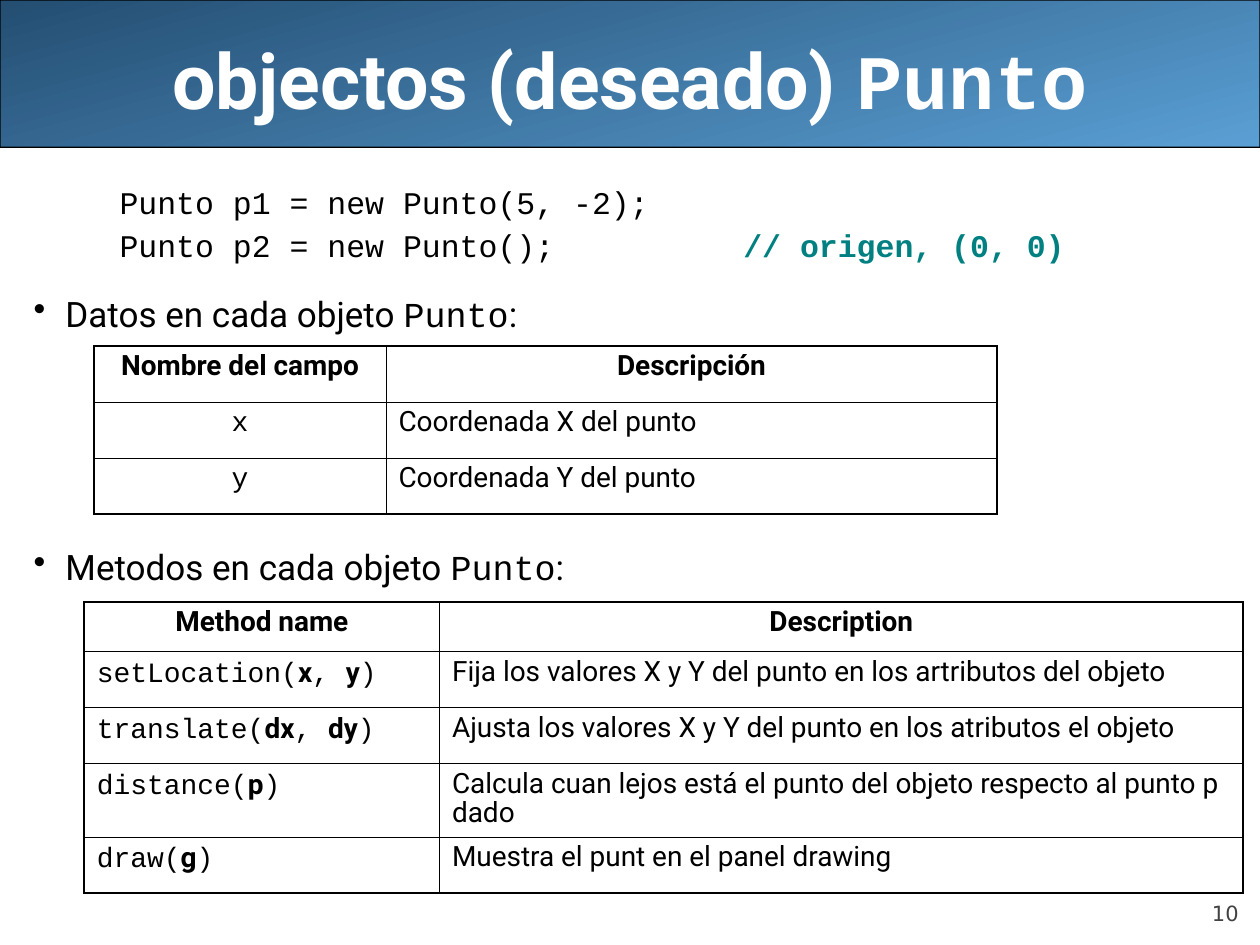
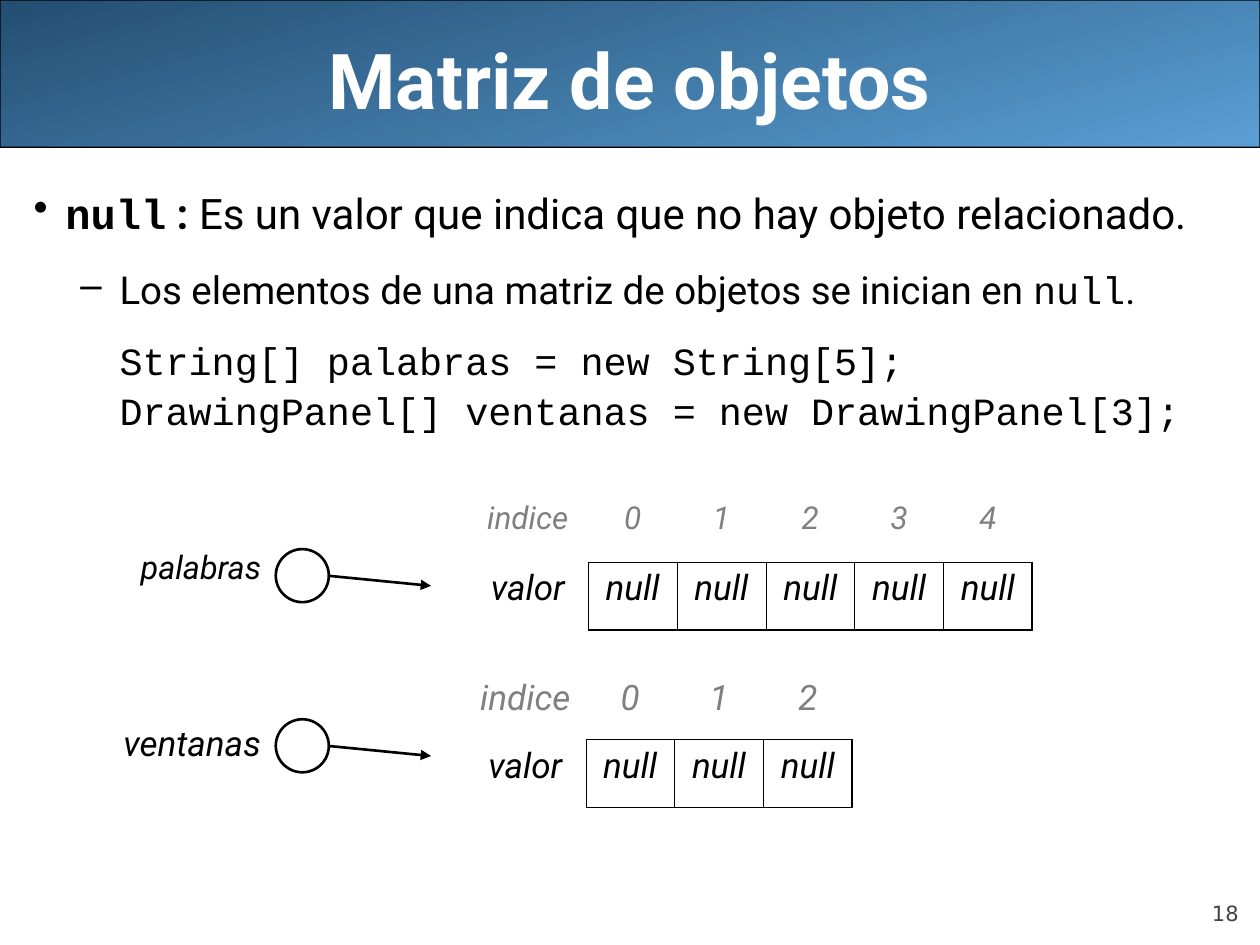
import pptx
import pptx.dml.color
import pptx.enum.shapes
import pptx.enum.text
import pptx.oxml
import pptx.oxml.ns
import pptx.util
from lxml import etree

Cm = pptx.util.Cm
Pt = pptx.util.Pt
Align = pptx.enum.text.PP_ALIGN
Anchor = pptx.enum.text.MSO_ANCHOR
Shape = pptx.enum.shapes.MSO_SHAPE
qn = pptx.oxml.ns.qn

COLORS = {
    "black": "000000",
    "white": "FFFFFF",
    "band_light": "5A9FD4",
    "band_dark": "244E72",
    "comment": "008080",
    "index": "808080",
    "page": "424242",
}
SANS, MONO, PAGE_FONT = "Roboto", "Courier New", "DejaVu Sans"
INNER, OUTER = 0.45, 1.08
BODY = (0.43, 3.66, 24.97, 14.4)


def rgb(name):
    return pptx.dml.color.RGBColor.from_string(COLORS[name])


def mono(text, bold=None):
    return text, MONO, bold, None


def sans(text, bold=None):
    return text, SANS, bold, None


def write(paragraph, content, size, font=SANS, color="black", bold=False, italic=False,
          align=Align.LEFT, line_spacing=None, before=None):
    """Fill a paragraph with a string, or with (text, font, bold, color) runs."""
    paragraph.alignment = align
    if line_spacing:
        paragraph.line_spacing = line_spacing
    if before:
        paragraph.space_before = Pt(before)
    base = paragraph.font
    base.name, base.size, base.bold, base.italic = font, Pt(size), bold, italic
    base.color.rgb = rgb(color)
    runs = [(content, None, None, None)] if isinstance(content, str) else content
    for text, run_font, run_bold, run_color in runs:
        run = paragraph.add_run()
        run.text = text
        if run_font:
            run.font.name = run_font
        if run_bold is not None:
            run.font.bold = run_bold
        if run_color:
            run.font.color.rgb = rgb(run_color)


def indent(paragraph, left, hanging=0, bullet=None):
    properties = paragraph._p.get_or_add_pPr()
    properties.set("marL", str(Cm(left)))
    properties.set("indent", str(-Cm(hanging)))
    if bullet:
        mark = etree.SubElement(properties, qn("a:buChar"))
        mark.set("char", bullet)
    else:
        etree.SubElement(properties, qn("a:buNone"))


def add_text_frame(slide, box, anchor=Anchor.TOP):
    frame = slide.shapes.add_textbox(*map(Cm, box)).text_frame
    frame.word_wrap = True
    frame.vertical_anchor = anchor
    return frame


def add_body(slide, box, lines):
    """Write lines of (content, indent arguments, text options) into the box."""
    frame = add_text_frame(slide, box)
    for number, (content, indents, options) in enumerate(lines):
        paragraph = frame.add_paragraph() if number else frame.paragraphs[0]
        indent(paragraph, *indents)
        write(paragraph, content, **options)


def add_framed_slide(presentation, title, page):
    """Add a slide with the title band and the page number."""
    slide = presentation.slides.add_slide(presentation.slide_layouts[6])
    band = slide.shapes.add_shape(Shape.ROUNDED_RECTANGLE, 0, 0, Cm(25.4), Cm(2.97))
    band.adjustments[0] = 0.001
    band.shadow.inherit = False
    band.fill.gradient()
    band.fill.gradient_angle = 105
    for stop, color in zip(band.fill.gradient_stops, ("band_light", "band_dark")):
        stop.color.rgb = rgb(color)
    band.line.color.rgb = rgb("black")
    band.line.width = Pt(0.75)

    heading = add_text_frame(slide, (1.27, 0, 22.86, 3.18), Anchor.MIDDLE)
    write(heading.paragraphs[0], title, 44, color="white", bold=True, align=Align.CENTER)

    footer = add_text_frame(slide, (22.86, 17.65, 2.11, 1.02), Anchor.BOTTOM)
    footer.margin_left = footer.margin_right = footer.margin_top = footer.margin_bottom = 0
    write(footer.paragraphs[0], page, 12, PAGE_FONT, "page", align=Align.RIGHT)
    return slide


def style_cell(cell, left, right, top, bottom):
    """Set border widths in points (0 for none) and clear the fill."""
    properties = cell._tc.get_or_add_tcPr()
    for side, width in zip("LRTB", (left, right, top, bottom)):
        line = etree.SubElement(properties, qn(f"a:ln{side}"))
        if width:
            line.set("w", str(Pt(width)))
            fill = etree.SubElement(line, qn("a:solidFill"))
            etree.SubElement(fill, qn("a:srgbClr")).set("val", COLORS["black"])
        else:
            etree.SubElement(line, qn("a:noFill"))
    cell.fill.background()


def add_plain_table(slide, left, top, columns, rows):
    frame = slide.shapes.add_table(len(rows), len(columns), Cm(left), Cm(top),
                                   Cm(sum(columns)), Cm(sum(rows)))
    table = frame.table
    table.first_row = table.horz_banding = False
    for column, width in zip(table.columns, columns):
        column.width = Cm(width)
    for row, height in zip(table.rows, rows):
        row.height = Cm(height)
    return table


def add_member_table(slide, left, top, columns, rows, cells, name_align):
    """Table of class members: a bold heading row, then code names and descriptions."""
    table = add_plain_table(slide, left, top, columns, rows)
    last_row, last_column = len(rows) - 1, len(columns) - 1
    for r, contents in enumerate(cells):
        for c, content in enumerate(contents):
            cell = table.cell(r, c)
            style_cell(cell,
                       INNER if c else OUTER,
                       OUTER if c == last_column else INNER,
                       INNER if r else OUTER,
                       OUTER if r == last_row else INNER)
            align = Align.CENTER if r == 0 else Align.LEFT if c else name_align
            write(cell.text_frame.paragraphs[0], content, 16,
                  font=MONO if r and c == 0 else SANS,
                  bold=r == 0, align=align, line_spacing=0.9)


def add_array(slide, left, top, length, index_size):
    """Array of null elements under its row of indices."""
    table = add_plain_table(slide, left, top, [2.44] + [1.79] * length, [1.37] * 2)
    for c in range(length + 1):
        index, value = table.cell(0, c), table.cell(1, c)
        style_cell(index, 0, 0, 0, INNER if c else 0)
        if c:
            style_cell(value, INNER, OUTER if c == length else INNER, INNER, OUTER)
        else:
            style_cell(value, 0, INNER, 0, 0)
        write(index.text_frame.paragraphs[0], str(c - 1) if c else "indice", index_size,
              color="index", italic=True, align=Align.CENTER)
        write(value.text_frame.paragraphs[0], "null" if c else "valor", 20,
              italic=True, align=Align.CENTER)


def add_reference(slide, left, top, name, size, line_spacing=None):
    """Variable name, its circle and the arrow towards the array."""
    label = add_text_frame(slide, (left, top, 3.81, 1.24))
    write(label.paragraphs[0], name, size, italic=True, align=Align.RIGHT,
          line_spacing=line_spacing)

    arrow = slide.shapes.add_connector(
        pptx.enum.shapes.MSO_CONNECTOR.STRAIGHT,
        Cm(left + 4.85), Cm(top + 0.6), Cm(left + 6.99), Cm(top + 0.81))
    arrow.line.color.rgb = rgb("black")
    arrow.line.width = Pt(1.5)
    etree.SubElement(arrow.line._get_or_add_ln(), qn("a:tailEnd")).set("type", "triangle")
    etree.SubElement(arrow._element.spPr, qn("a:effectLst"))

    circle = slide.shapes.add_shape(Shape.OVAL, Cm(left + 3.86), Cm(top + 0.07),
                                    Cm(1.07), Cm(1.07))
    circle.shadow.inherit = False
    circle.fill.solid()
    circle.fill.fore_color.rgb = rgb("white")
    circle.line.color.rgb = rgb("black")
    circle.line.width = Pt(1.5)


def build_point_slide(presentation):
    slide = add_framed_slide(presentation, [sans("objectos (deseado) "), mono("Punto")], "10")
    code = {"size": 18, "font": MONO, "line_spacing": 0.9}
    bullet = (0.64, 0.64, "•")
    add_body(slide, BODY, [
        ("Punto p1 = new Punto(5, -2);", (1.73,), code),
        ([mono("Punto p2 = new Punto();          "),
          ("// origen, (0, 0)", MONO, True, "comment")], (1.73,), {**code, "before": 5}),
        ([sans("Datos en cada objeto "), mono("Punto"), sans(":")], bullet,
         {"size": 20, "before": 16}),
        ([sans("Metodos en cada objeto "), mono("Punto"), sans(":")], bullet,
         {"size": 20, "before": 120.5}),
    ])
    add_member_table(slide, 1.7, 12.14, [7.16, 16.2], [1, 1.13, 1.13, 1.47, 1.13], [
        ("Method name", "Description"),
        ([mono("setLocation("), sans("x", True), mono(", "), sans("y", True), mono(")")],
         "Fija los valores X y Y del punto en los artributos del objeto"),
        ([mono("translate("), sans("dx", True), mono(", "), sans("dy", True), mono(")")],
         "Ajusta los valores X y Y del punto en los atributos el objeto"),
        ([mono("distance("), sans("p", True), mono(")")],
         "Calcula cuan lejos está el punto del objeto respecto al punto p dado"),
        ([mono("draw("), sans("g", True), mono(")")],
         "Muestra el punt en el panel drawing"),
    ], Align.LEFT)
    add_member_table(slide, 1.9, 6.98, [5.88, 12.32], [1.13] * 3, [
        ("Nombre del campo", "Descripción"),
        ("x", "Coordenada X del punto"),
        ("y", "Coordenada Y del punto"),
    ], Align.CENTER)


def build_array_slide(presentation):
    slide = add_framed_slide(presentation, "Matriz de objetos", "18")
    code = {"size": 22, "font": MONO, "line_spacing": 0.8}
    add_body(slide, BODY, [
        ([mono("null", True), sans(" : ", True),
          sans("Es un valor que indica que no hay objeto relacionado.")],
         (0.64, 0.64, "•"), {"size": 24}),
        ([sans("Los elementos de una matriz de objetos se inician en "), mono("null"), sans(".")],
         (1.73, 0.79, "–"), {"size": 22, "before": 16}),
        ("String[] palabras = new String[5];", (1.73,), {**code, "before": 19.5}),
        ("DrawingPanel[] ventanas = new DrawingPanel[3];", (1.73,), {**code, "before": 7}),
    ])
    add_array(slide, 9.42, 9.96, 5, index_size=18)
    add_array(slide, 9.37, 13.54, 3, index_size=20)
    add_reference(slide, 1.7, 11, "palabras", 18.5, line_spacing=0.9)
    add_reference(slide, 1.7, 14.43, "ventanas", 20)


def main():
    presentation = pptx.Presentation()
    presentation.slide_width, presentation.slide_height = Cm(25.4), Cm(19.05)
    build_point_slide(presentation)
    build_array_slide(presentation)
    presentation.save("out.pptx")


if __name__ == "__main__":
    main()
